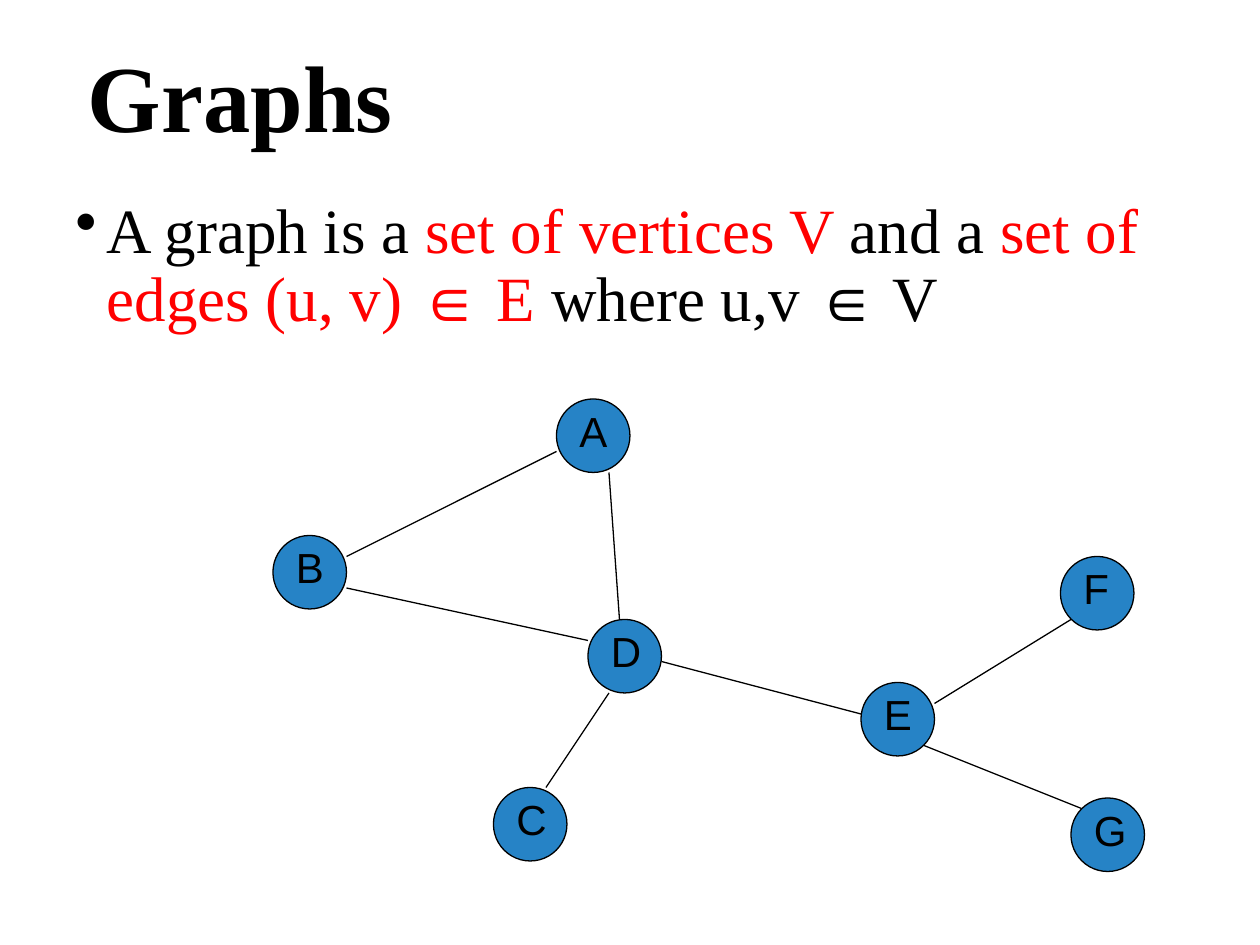
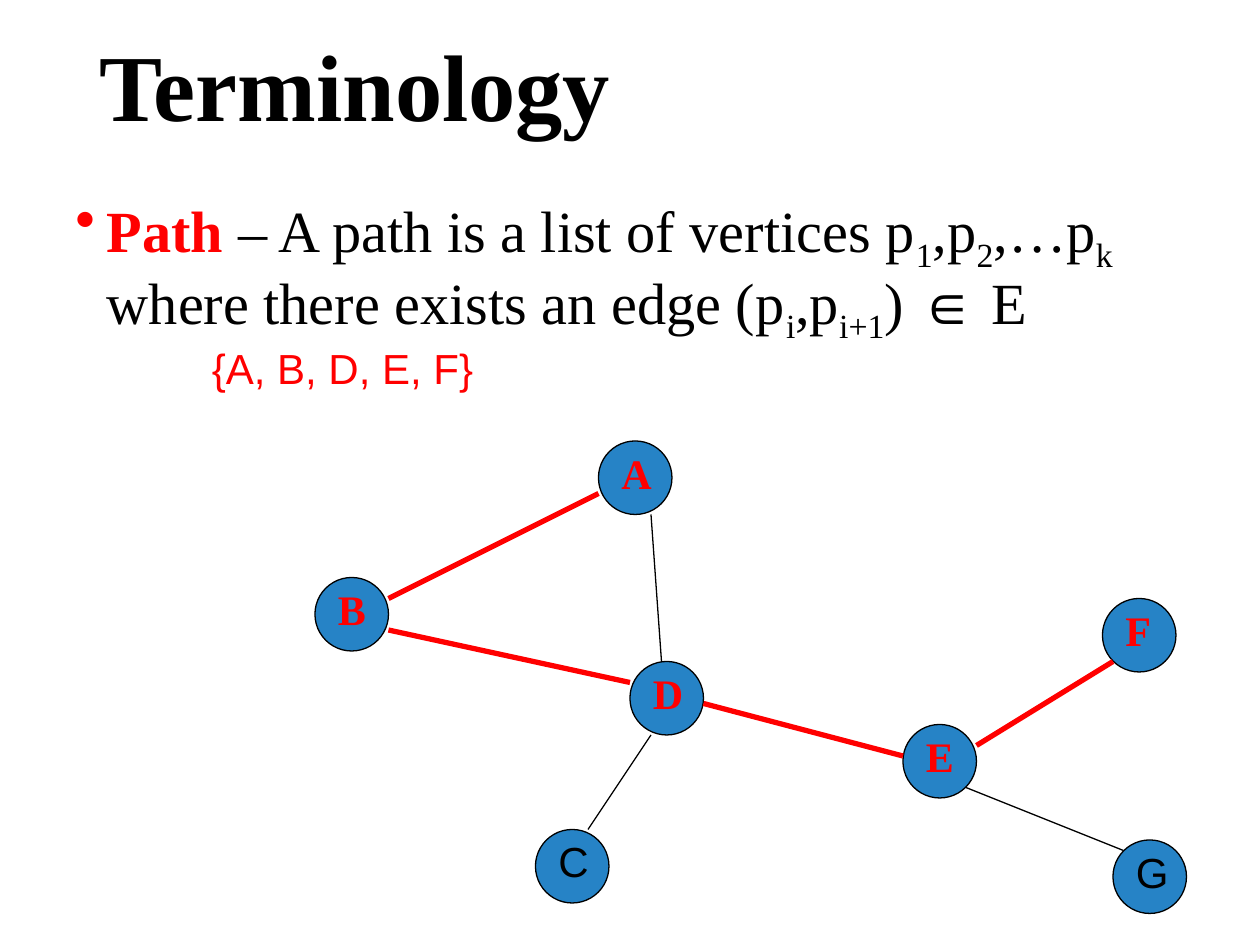
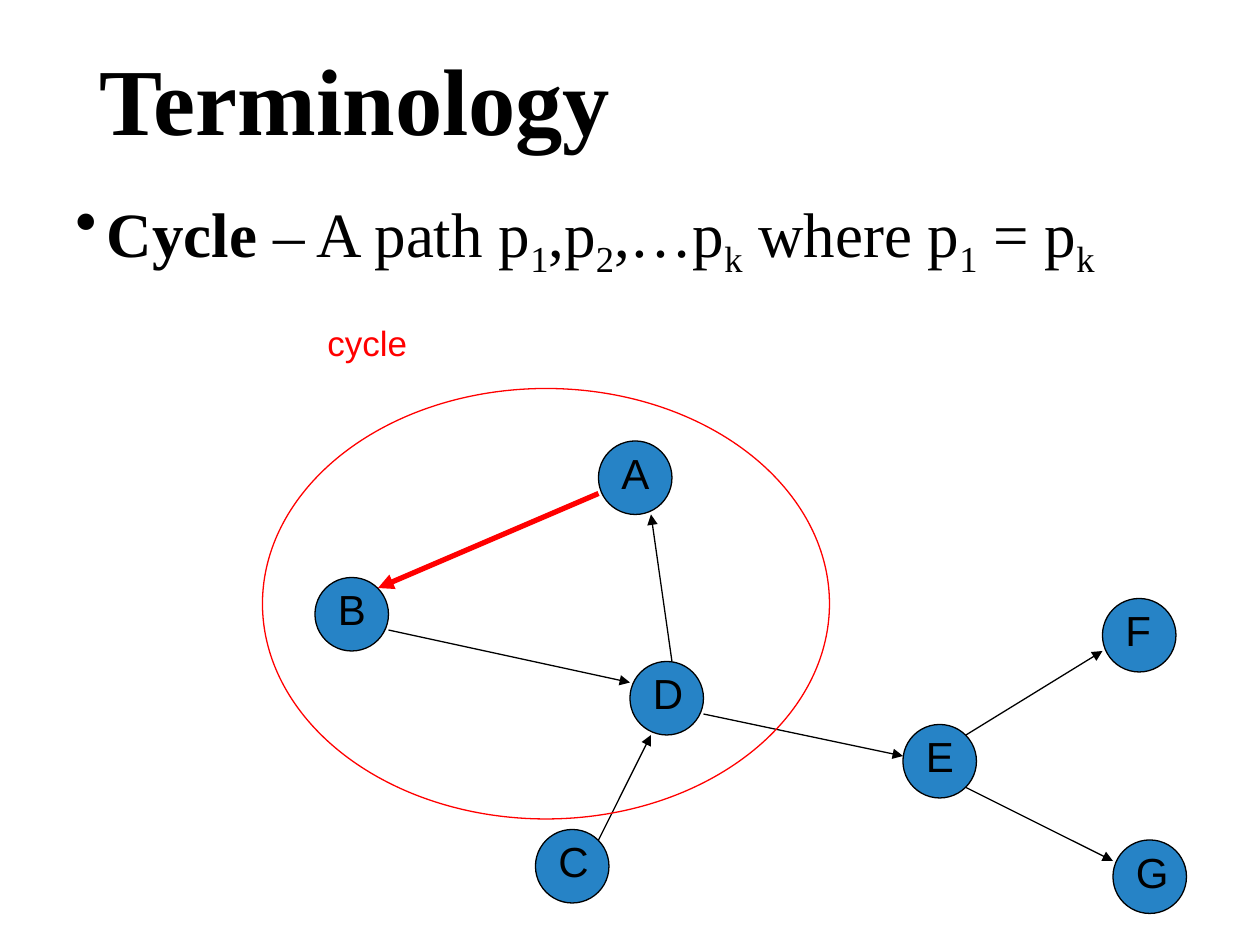
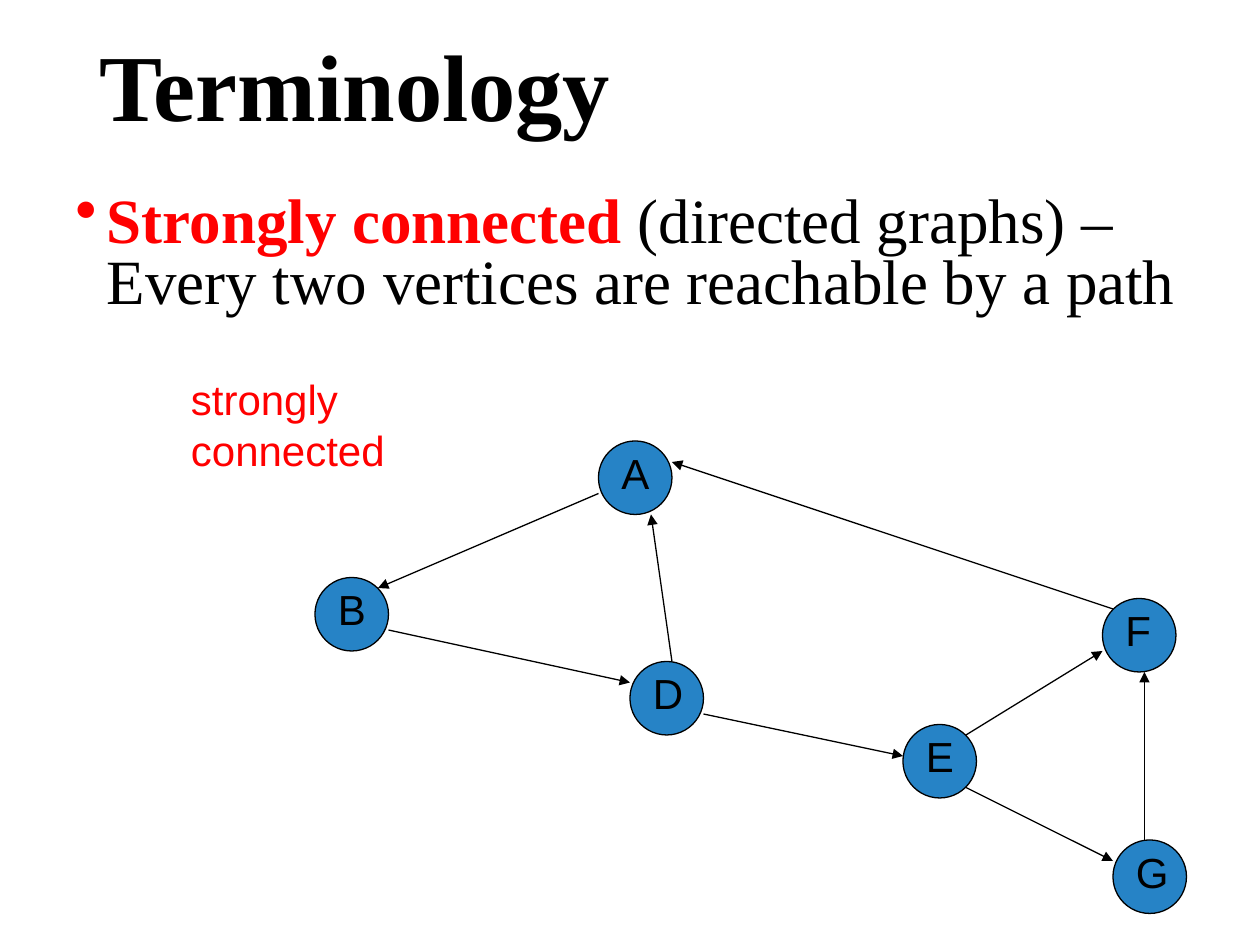
from dataclasses import dataclass

from lxml import etree
from pptx import Presentation
from pptx import util as u
from pptx.dml.color import RGBColor
from pptx.enum import shapes, text
from pptx.oxml import ns


@dataclass(frozen=True)
class Theme:
    ink: RGBColor = RGBColor(0x00, 0x00, 0x00)
    accent: RGBColor = RGBColor(0xFF, 0x00, 0x00)
    vertex: RGBColor = RGBColor(0x26, 0x83, 0xC6)
    serif: str = "Times New Roman"
    sans: str = "Arial"
    title: float = 54
    body: float = 36
    body_small: float = 33.3
    label: float = 24
    caption: float = 20
    thin: float = 0.75
    thick: float = 3


theme = Theme()
deck = Presentation()
deck.slide_width, deck.slide_height = u.Inches(10), u.Inches(7.5)

# The grid has 120 columns and 90 rows of square cells
CELL = deck.slide_width / 120


def cells(*counts):
    return [round(count * CELL) for count in counts]


def write(holder, box, runs, size, font=theme.sans, color=theme.ink, bold=False,
          spacing=None, bullet=False, middle=False, grow=False):
    """Write (text, overrides) runs as one paragraph in a box given in cells."""
    area = holder.add_textbox(*cells(*box))
    frame = area.text_frame
    frame.word_wrap = True
    if middle:
        frame.vertical_anchor = text.MSO_ANCHOR.MIDDLE
    if grow:
        frame.auto_size = text.MSO_AUTO_SIZE.SHAPE_TO_FIT_TEXT
    line = frame.paragraphs[0]
    if bullet:
        props = line._p.get_or_add_pPr()
        props.set("marL", str(u.Inches(0.25)))
        props.set("indent", str(-u.Inches(0.25)))
        etree.SubElement(props, ns.qn("a:buChar"), char="•")
    if spacing:
        line.line_spacing = spacing
    for words, special in runs:
        # A line feed inside a run becomes a line break
        for number, part in enumerate(words.split("\n")):
            if number:
                line.add_line_break()
            run = line.add_run()
            run.text = part
            run.font.size = u.Pt(size)
            run.font.name = font
            run.font.bold = special.get("bold", bold)
            run.font.color.rgb = special.get("color", color)
            if special.get("sub"):
                run._r.get_or_add_rPr().set("baseline", "-25000")


# Run styles
PLAIN, SUB, BOLD = {}, {"sub": True}, {"bold": True}
RED = {"color": theme.accent}
TERM = {**RED, **BOLD}

# Top left cell of each vertex
VERTICES = {"A": (53, 38), "B": (26, 51), "C": (47, 75), "E": (82, 65),
            "D": (56, 59), "F": (101, 53), "G": (102, 76)}
DIAMETER = 7

# Edge ends in cells: from column, from row, to column, to row
UNDIRECTED = {"BA": (33, 53, 53, 43), "BD": (33, 56, 56, 61), "DA": (59, 59, 58, 45),
              "DC": (58, 66, 52, 75), "DE": (63, 63, 82, 68), "EF": (89, 67, 102, 59),
              "EG": (88, 71, 103, 77)}
DIRECTED = {"BD": (33, 56, 56, 61), "DA": (60, 59, 58, 45), "CD": (53, 76, 58, 66),
            "DE": (63, 64, 82, 68), "EF": (88, 66, 101, 58), "EG": (88, 71, 102, 78),
            "AB": (53, 43, 32, 52), "FA": (102, 54, 60, 40), "GF": (105, 76, 105, 60)}

# Content of each slide; shift moves the whole graph right and down
topics = [
    dict(title="Graphs", title_at=(7.2, 1), body_at=(6, 18.4, 108, 17.4),
         body=[("A graph is a ", PLAIN), ("set of vertices V ", RED), ("and a ", PLAIN),
               ("set of edges (u, v) ∈ E ", RED), ("where u,v ∈ V", PLAIN)],
         shift=0, vertices="ABCEDFG", edges=UNDIRECTED),
    dict(title="Terminology", title_at=(8.3, 0), body_size=theme.body_small,
         body=[("Path", TERM), (" – A path is a list of vertices p", PLAIN), ("1", SUB),
               (",p", PLAIN), ("2", SUB), (",…p", PLAIN), ("k", SUB),
               (" where there exists an edge (p", PLAIN), ("i", SUB), (",p", PLAIN),
               ("i+1", SUB), (") ∈ E", PLAIN)],
         vertices="ABCEDFG", edges=UNDIRECTED,
         hot_vertices="ABDEF", hot_edges=("BA", "BD", "DE", "EF"),
         caption="{A, B, D, E, F}", caption_at=(19, 32, 31, 6)),
    dict(title="Terminology", title_at=(8.3, 1.3),
         body=[("Cycle", BOLD), (" – A path p", PLAIN), ("1", SUB), (",p", PLAIN),
               ("2", SUB), (",…p", PLAIN), ("k", SUB), (" where p", PLAIN), ("1", SUB),
               (" = p", PLAIN), ("k", SUB)],
         vertices="ABCEDFG", directed=True, hot_edges=("AB",),
         edges={pair: DIRECTED[pair] for pair in ("BD", "DA", "CD", "DE", "EF", "EG", "AB")},
         ring=(25, 37, 54, 41), caption="cycle", caption_at=(30, 30, 30, 5.3),
         caption_size=theme.caption),
    dict(title="Terminology", title_at=(8.3, 0), body_spacing=0.8,
         body=[("Strongly connected ", TERM),
               ("(directed graphs) – \nEvery two vertices are reachable by a path", PLAIN)],
         vertices="ABEDFG", directed=True,
         edges={pair: ends for pair, ends in DIRECTED.items() if pair != "CD"},
         caption="strongly connected", caption_at=(17, 35, 28, 10.9)),
]

for topic in topics:
    canvas = deck.slides.add_slide(deck.slide_layouts[6]).shapes
    shift = topic.get("shift", 4)

    # Title and definition
    write(canvas, (*topic["title_at"], 103.4, 17.4), [(topic["title"], BOLD)],
          size=theme.title, font=theme.serif, spacing=0.9, middle=True)
    write(canvas, topic.get("body_at", (6, 18, 108, 14)), topic["body"],
          size=topic.get("body_size", theme.body), font=theme.serif,
          spacing=topic.get("body_spacing", 0.9), bullet=True)

    # Vertices, each grouped with its letter
    for letter in topic["vertices"]:
        column, row = (place + shift for place in VERTICES[letter])
        vertex = canvas.add_group_shape().shapes
        disc = vertex.add_shape(shapes.MSO_SHAPE.OVAL, *cells(column, row, DIAMETER, DIAMETER))
        disc.shadow.inherit = False
        disc.fill.solid()
        disc.fill.fore_color.rgb = theme.vertex
        disc.line.color.rgb = theme.ink
        disc.line.width = u.Pt(theme.thin)
        hot = letter in topic.get("hot_vertices", "")
        write(vertex, (column + 1, row, 6, 6.1), [(letter, TERM if hot else PLAIN)],
              size=theme.label, font=theme.serif if hot else theme.sans, grow=True)

    # Edges
    for pair, ends in topic["edges"].items():
        hot = pair in topic.get("hot_edges", ())
        edge = canvas.add_connector(shapes.MSO_CONNECTOR.STRAIGHT,
                                    *cells(*(place + shift for place in ends)))
        edge.line.color.rgb = theme.accent if hot else theme.ink
        edge.line.width = u.Pt(theme.thick if hot else theme.thin)
        if topic.get("directed"):
            etree.SubElement(edge.line._get_or_add_ln(), ns.qn("a:tailEnd"), type="triangle")
        etree.SubElement(edge._element.spPr, ns.qn("a:effectLst"))

    # Ring around the cycle
    if "ring" in topic:
        ring = canvas.add_shape(shapes.MSO_SHAPE.OVAL, *cells(*topic["ring"]))
        ring.shadow.inherit = False
        ring.fill.background()
        ring.line.color.rgb = theme.accent
        ring.line.width = u.Pt(theme.thin)

    # Caption
    if "caption" in topic:
        write(canvas, topic["caption_at"], [(topic["caption"], RED)],
              size=topic.get("caption_size", theme.label), grow=True)

deck.save("out.pptx")
